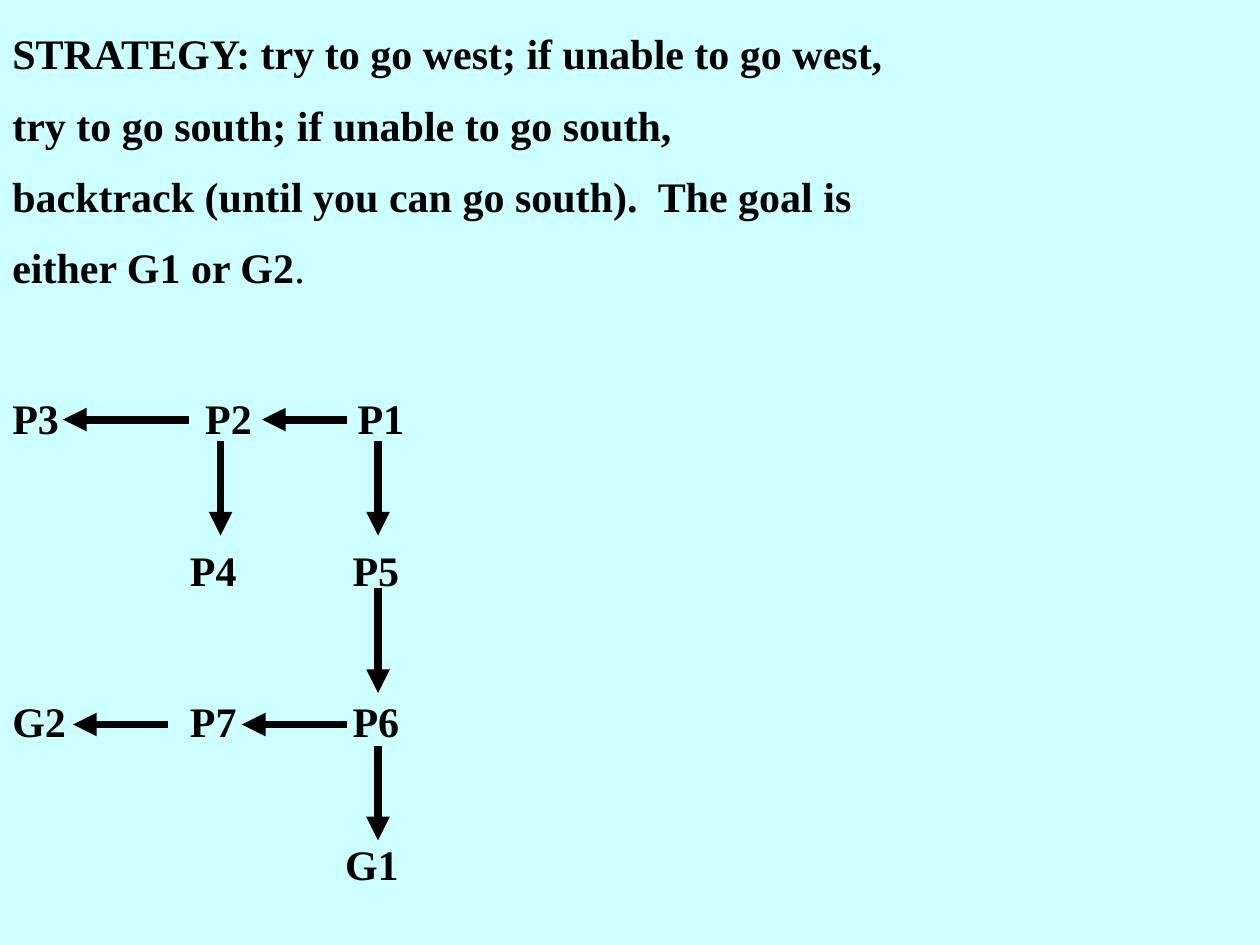
import pptx
import pptx.dml.color
import pptx.enum.shapes
import pptx.oxml
import pptx.oxml.ns
import pptx.util

Inches, Pt = pptx.util.Inches, pptx.util.Pt
Color = pptx.dml.color.RGBColor
BLACK = Color(0, 0, 0)
PALE = Color(0xCC, 0xFF, 0xFF)
FONT = "Times New Roman"

# Space before in points, tab stops in inches, runs of (text, bold)
LINES = [
    (0, [], [("STRATEGY: try to go west; if unable to go west,", True)]),
    (12, [], [("try to go south; if unable to go south,", True)]),
    (12, [], [("backtrack (until you can go south).  The goal is", True)]),
    (12, [], [("either G1 or G2", True), (".", False)]),
    (57.5, [1.53, 2.74], [("P3\tP2\tP1", True)]),
    (58, [1.41, 2.7], [("\tP4\tP5", True)]),
    (57.5, [1.41, 2.7], [("G2\tP7\tP6", True)]),
    (53, [2.64], [("\tG1", True)]),
]
ROW1, ROW2 = 3.33, 5.75
COL2, COL3 = 1.75, 3
ARROWS = [
    (2.75, ROW1, 2.08, ROW1),
    (1.5, ROW1, 0.5, ROW1),
    (COL2, 3.5, COL2, 4.25),
    (COL3, 3.5, COL3, 4.25),
    (COL3, 4.67, COL3, 5.5),
    (2.75, ROW2, 1.92, ROW2),
    (1.33, ROW2, 0.58, ROW2),
    (COL3, 5.92, COL3, 6.67),
]


def node(parent, tag, **attrs):
    item = pptx.oxml.parse_xml(f"<{tag} {pptx.oxml.ns.nsdecls('a')}/>")
    for name, value in attrs.items():
        item.set(name, str(value))
    parent.append(item)
    return item


def write(slide):
    box = slide.shapes.add_textbox(0, 0, Inches(10), Inches(7.5))
    frame = box.text_frame
    frame.word_wrap = True
    frame.margin_top = Inches(0.22)
    for i, (gap, stops, runs) in enumerate(LINES):
        para = frame.add_paragraph() if i else frame.paragraphs[0]
        if stops:
            tabs = node(para._p.get_or_add_pPr(), "a:tabLst")
            for stop in stops:
                node(tabs, "a:tab", pos=Inches(stop), algn="l")
        if gap:
            para.space_before = Pt(gap)
        for text, bold in runs:
            run = para.add_run()
            run.text = text
            font = run.font
            font.name, font.size, font.bold = FONT, Pt(24), bold
            font.color.rgb = BLACK


def arrow(slide, ends):
    link = slide.shapes.add_connector(
        pptx.enum.shapes.MSO_CONNECTOR.STRAIGHT, *map(Inches, ends))
    link.line.color.rgb = BLACK
    link.line.width = Pt(4.5)
    node(link.line._get_or_add_ln(), "a:tailEnd", type="triangle")
    node(link._element.spPr, "a:effectLst")


def main():
    deck = pptx.Presentation()
    deck.slide_width, deck.slide_height = Inches(10), Inches(7.5)
    slide = deck.slides.add_slide(deck.slide_layouts[6])
    fill = slide.background.fill
    fill.solid()
    fill.fore_color.rgb = PALE
    write(slide)
    for ends in ARROWS:
        arrow(slide, ends)
    deck.save("out.pptx")


if __name__ == "__main__":
    main()
